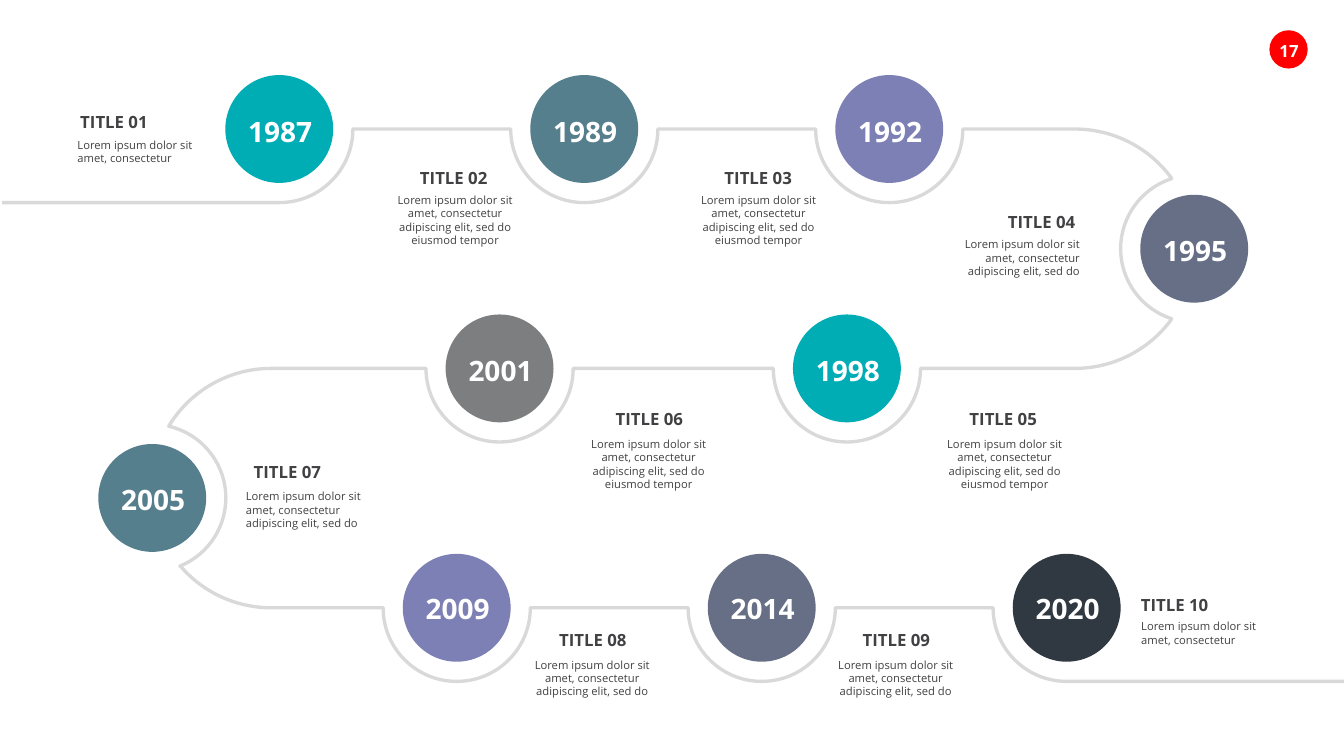
from dataclasses import dataclass
from math import ceil, cos, radians, sin, tan

from lxml import etree
from pptx import Presentation
from pptx import util as u
from pptx.dml.color import RGBColor
from pptx.enum import shapes, text
from pptx.oxml.ns import qn


@dataclass(frozen=True)
class Theme:
    font: str = "Open Sans"
    white: str = "FFFFFF"
    ink: str = "414042"
    road: str = "D9D9D9"
    badge: str = "FF0000"
    teal: str = "00ADB5"
    steel: str = "557F8C"
    violet: str = "7D80B5"
    slate: str = "666F85"
    gray: str = "7C7E80"
    dark: str = "303841"
    year_size: float = 20
    title_size: float = 12
    body_size: float = 8
    body_leading: float = 9.5
    road_width: float = 2.38


@dataclass(frozen=True)
class Grid:
    """A box divided into fine columns and rows."""
    left: int
    top: int
    width: int
    height: int
    columns: int = 1333
    rows: int = 750

    def point(self, column, row):
        return (self.left + round(self.width * column / self.columns),
                self.top + round(self.height * row / self.rows))

    def box(self, column, row, columns, rows):
        left, top = self.point(column, row)
        right, bottom = self.point(column + columns, row + rows)
        return left, top, right - left, bottom - top


THEME = Theme()
LEFT, CENTER, RIGHT = text.PP_ALIGN.LEFT, text.PP_ALIGN.CENTER, text.PP_ALIGN.RIGHT

# Three road rows, with a turn at each end
ROWS = [128, 365.5, 603]
TURN_RADIUS = (ROWS[1] - ROWS[0]) / 2
RIGHT_TURN = (1066, ROWS[0] + TURN_RADIUS)
LEFT_TURN = (269, ROWS[1] + TURN_RADIUS)
PITCH = 302.5
DISC, BEND = 107, 73

# Year, disc centre, disc colour, bend angles (clockwise from the right), text drop
STOPS = [
    ("1987", (277, ROWS[0]), THEME.teal, (90, 0), 2),
    ("1989", (277 + PITCH, ROWS[0]), THEME.steel, (180, 0), 2),
    ("1992", (277 + 2 * PITCH, ROWS[0]), THEME.violet, (180, 0), 2),
    ("1995", (1184.5, RIGHT_TURN[1]), THEME.slate, (252, 108), 2),
    ("1998", (840, ROWS[1]), THEME.teal, (0, 180), 2),
    ("2001", (495.5, ROWS[1]), THEME.gray, (0, 180), 2),
    ("2005", (151, 494), THEME.steel, (-77, 68), 1),
    ("2009", (453, ROWS[2]), THEME.violet, (180, 0), 0),
    ("2014", (453 + PITCH, ROWS[2]), THEME.slate, (180, 0), 0),
    ("2020", (453 + 2 * PITCH, ROWS[2]), THEME.dark, (180, 90), 0),
]

# Turn arcs that lead into and out of the two side stops
TURNS = {
    "1995": ((RIGHT_TURN, (-90, -36)), (RIGHT_TURN, (36, 90))),
    "2005": ((LEFT_TURN, (270, 211)), (LEFT_TURN, (139, 90))),
}

SHORT = "Lorem ipsum dolor sit amet, consectetur"
MEDIUM = SHORT + " adipiscing elit, sed do"
LONG = MEDIUM + " eiusmod tempor"

# Title, its left and top, body left and top, body text, alignment
CAPTIONS = [
    ("TITLE 01", (79, 111), (67, 132), SHORT, LEFT),
    ("TITLE 02", (416, 166), (379, 187), LONG, CENTER),
    ("TITLE 03", (718, 166), (680, 187), LONG, CENTER),
    ("TITLE 04", (999, 210), (936, 231), MEDIUM, RIGHT),
    ("TITLE 05", (961, 406), (924, 429), LONG, CENTER),
    ("TITLE 06", (610, 406), (571, 429), LONG, CENTER),
    ("TITLE 07", (251, 458), (234, 481), MEDIUM, LEFT),
    ("TITLE 08", (554, 625), (515, 648), MEDIUM, CENTER),
    ("TITLE 09", (855, 625), (816, 648), MEDIUM, CENTER),
    ("TITLE 10", (1131, 590), (1122, 610), SHORT, LEFT),
]


def add_text(parent, box, words, size, color, bold=False, align=CENTER):
    frame = parent.shapes.add_textbox(*box).text_frame
    frame.text = words
    paragraph = frame.paragraphs[0]
    paragraph.alignment = align
    font = paragraph.runs[0].font
    font.name, font.size, font.bold = THEME.font, u.Pt(size), bold
    font.color.rgb = RGBColor.from_string(color)
    return frame


def add_label(parent, box, words, size, color):
    frame = add_text(parent, box, words, size, color, bold=True)
    frame.margin_left = frame.margin_right = frame.margin_top = frame.margin_bottom = 0
    frame.vertical_anchor = text.MSO_ANCHOR.MIDDLE
    frame.word_wrap = False


def add_disc(parent, box, color):
    disc = parent.shapes.add_shape(shapes.MSO_SHAPE.OVAL, *box)
    disc.shadow.inherit = False
    disc.fill.solid()
    disc.fill.fore_color.rgb = RGBColor.from_string(color)
    disc.line.fill.background()


def arc(center, radius, angles):
    """Line to the start of an arc, then Bezier pieces of at most a quarter turn."""
    start, end = (radians(angle) for angle in angles)
    pieces = ceil(abs(angles[1] - angles[0]) / 90)
    sweep = (end - start) / pieces
    pull = 4 / 3 * tan(sweep / 4)

    def place(angle, tangent=0):
        return (center[0] + radius * (cos(angle) - tangent * sin(angle)),
                center[1] + radius * (sin(angle) + tangent * cos(angle)))

    points = [place(start)] * 3
    for piece in range(pieces):
        first = start + piece * sweep
        last = first + sweep
        points += [place(first, pull), place(last, -pull), place(last)]
    return points


def add_road(slide, grid):
    points = []
    for year, center, _, angles, _ in STOPS:
        entry, leave = ([arc(middle, TURN_RADIUS, sweep)] for middle, sweep in TURNS[year]) \
            if year in TURNS else ([], [])
        for bend in entry + [arc(center, BEND, angles)] + leave:
            points += bend
    points += [(grid.columns, ROWS[2] + BEND)] * 3
    builder = slide.shapes.build_freeform(*grid.point(2, ROWS[0] + BEND))
    builder.add_line_segments([grid.point(*point) for point in points], close=False)
    road = builder.convert_to_shape()
    # Every three points make one Bezier curve
    lines = list(road.element.iter(qn("a:lnTo")))
    for index in range(0, len(lines), 3):
        curve = etree.Element(qn("a:cubicBezTo"))
        lines[index].addprevious(curve)
        for line in lines[index:index + 3]:
            curve.append(line[0])
            line.getparent().remove(line)
    road.shadow.inherit = False
    road.fill.background()
    road.line.color.rgb = RGBColor.from_string(THEME.road)
    road.line.width = u.Pt(THEME.road_width)


def add_stops(slide, grid):
    for year, (column, row), color, _, drop in STOPS:
        group = slide.shapes.add_group_shape()
        add_disc(group, grid.box(column - DISC / 2, row - DISC / 2, DISC, DISC), color)
        add_label(group, grid.box(column - 31, row - 17 + drop, 64, 34),
                  year, THEME.year_size, THEME.white)


def add_captions(slide, grid):
    for title, title_at, _, _, _ in CAPTIONS:
        add_label(slide, grid.box(*title_at, 68, 20), title, THEME.title_size, THEME.ink)
    for _, _, body_at, words, align in CAPTIONS:
        lines = {SHORT: 2, MEDIUM: 3, LONG: 4}[words]
        frame = add_text(slide, grid.box(*body_at, 145, 10 + 13.5 * lines),
                         words, THEME.body_size, THEME.ink, align=align)
        frame.word_wrap = True
        frame.paragraphs[0].line_spacing = u.Pt(THEME.body_leading)


def add_page_number(slide, grid):
    add_disc(slide, grid.box(1259, 30, 38, 38), THEME.badge)
    add_label(slide, grid.box(1257, 35, 43, 30), "17", THEME.title_size, THEME.white)


def main():
    presentation = Presentation()
    presentation.slide_width, presentation.slide_height = u.Inches(13.33), u.Inches(7.5)
    slide = presentation.slides.add_slide(presentation.slide_layouts[6])
    grid = Grid(0, 0, presentation.slide_width, presentation.slide_height)
    add_page_number(slide, grid)
    add_road(slide, grid)
    add_stops(slide, grid)
    add_captions(slide, grid)
    presentation.save("out.pptx")


if __name__ == "__main__":
    main()
